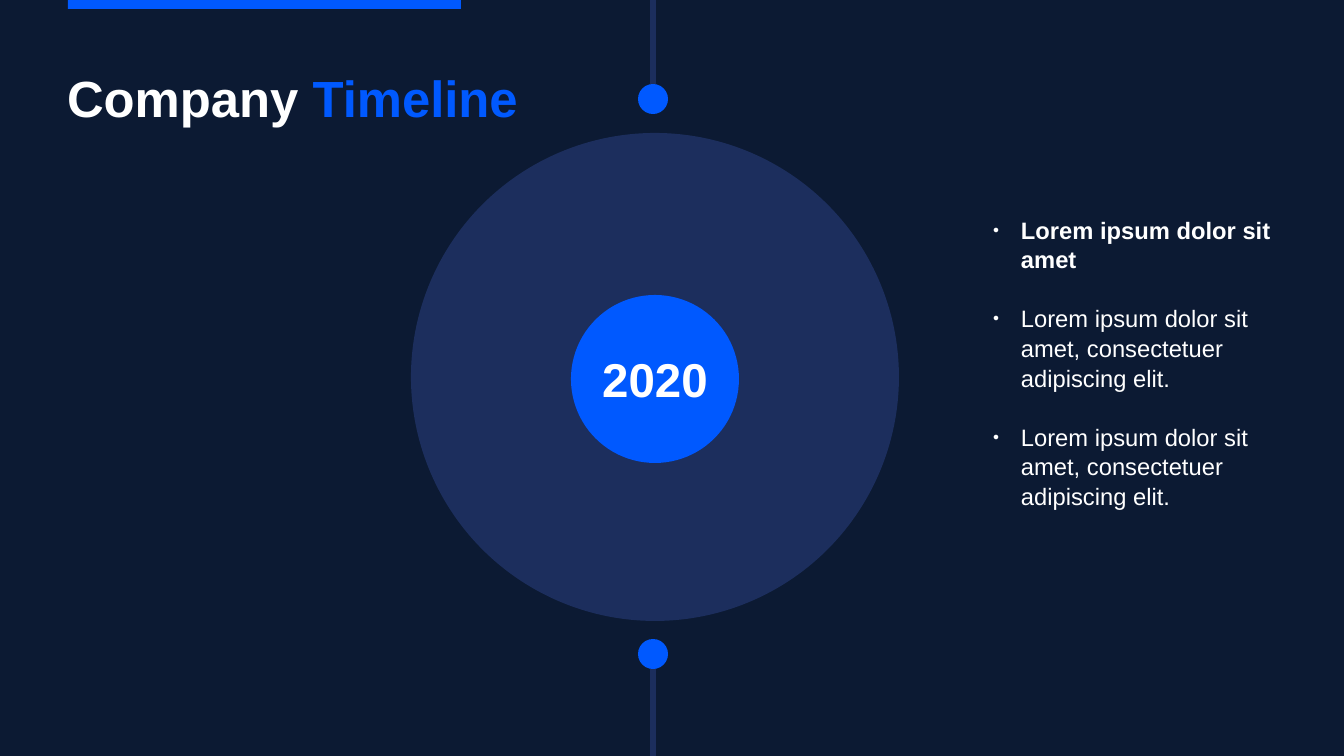
from pptx import Presentation
from pptx import util as u
from pptx.dml.color import RGBColor
from pptx.enum import shapes, text
from pptx.oxml import parse_xml
from pptx.oxml.ns import nsdecls

NAVY = RGBColor(0x0C, 0x1A, 0x33)
INDIGO = RGBColor(0x1C, 0x2E, 0x5D)
BLUE = RGBColor(0x00, 0x59, 0xFF)
WHITE = RGBColor(0xFF, 0xFF, 0xFF)
FONT = "Arial"

TITLE = [("Company ", WHITE), ("Timeline", BLUE)]
YEAR = "2020"
BULLETS = [
    ("Lorem ipsum dolor sit amet", True),
    ("Lorem ipsum dolor sit amet, consectetuer adipiscing elit.", False),
    ("Lorem ipsum dolor sit amet, consectetuer adipiscing elit.", False),
]

WIDTH, HEIGHT = 1344, 756
ACCENT_BAR = (68, 0, 393, 9)
TITLE_BOX = (67, 61, 1209, 92)
BULLET_BOX = (993, 214, 288, 366)
BULLET_INDENT = 28
DISC = (411, 133, 488, 488)
YEAR_DISC = (571, 295, 168, 168)
AXIS_X = 653
DOT = 30
STEMS = [(HEIGHT, 654), (0, 99)]


def px(value):
    return u.Emu(value * 914400 // 122)


def box(bounds):
    return [px(value) for value in bounds]


def add_filled(slide, kind, bounds, color):
    shape = slide.shapes.add_shape(kind, *box(bounds))
    shape.shadow.inherit = False
    shape.fill.solid()
    shape.fill.fore_color.rgb = color
    shape.line.fill.background()
    return shape


def add_run(paragraph, words, size, color, bold):
    run = paragraph.add_run()
    run.text = words
    run.font.name = FONT
    run.font.size = u.Pt(size)
    run.font.color.rgb = color
    run.font.bold = bold


def clear_margins(frame):
    frame.margin_left = frame.margin_top = 0
    frame.margin_right = frame.margin_bottom = 0
    frame.vertical_anchor = text.MSO_ANCHOR.TOP
    frame.auto_size = text.MSO_AUTO_SIZE.NONE
    frame.word_wrap = True


def add_bullet(paragraph):
    properties = paragraph._p.get_or_add_pPr()
    properties.set("marL", str(px(BULLET_INDENT)))
    properties.set("indent", str(-px(BULLET_INDENT)))
    for tag in (
        f'<a:buClr {nsdecls("a")}><a:srgbClr val="{WHITE}"/></a:buClr>',
        f'<a:buSzPct {nsdecls("a")} val="45000"/>',
        f'<a:buFont {nsdecls("a")} typeface="{FONT}"/>',
        f'<a:buChar {nsdecls("a")} char="●"/>',
    ):
        properties.append(parse_xml(tag))


def add_title(slide):
    title = slide.shapes.title
    title.left, title.top, title.width, title.height = box(TITLE_BOX)
    clear_margins(title.text_frame)
    paragraph = title.text_frame.paragraphs[0]
    paragraph.alignment = text.PP_ALIGN.LEFT
    paragraph.line_spacing = 1.1
    for words, color in TITLE:
        add_run(paragraph, words, 30, color, True)


def add_bullets(slide):
    frame = slide.shapes.add_textbox(*box(BULLET_BOX)).text_frame
    clear_margins(frame)
    for index, (words, bold) in enumerate(BULLETS):
        paragraph = frame.add_paragraph() if index else frame.paragraphs[0]
        add_bullet(paragraph)
        paragraph.line_spacing = 1.05
        if index:
            paragraph.space_before = u.Pt(17)
        add_run(paragraph, words, 14, WHITE, bold)


def add_stem(slide, edge_y, dot_y):
    stem = slide.shapes.add_connector(
        shapes.MSO_CONNECTOR.STRAIGHT, *box((AXIS_X, edge_y, AXIS_X, dot_y)))
    stem.line.color.rgb = INDIGO
    stem.line.width = u.Pt(3)
    stem._element.spPr.append(parse_xml(f'<a:effectLst {nsdecls("a")}/>'))
    dot_bounds = (AXIS_X - DOT // 2, dot_y - DOT // 2, DOT, DOT)
    add_filled(slide, shapes.MSO_SHAPE.OVAL, dot_bounds, BLUE)


def add_year(slide):
    add_filled(slide, shapes.MSO_SHAPE.OVAL, DISC, INDIGO)
    disc = add_filled(slide, shapes.MSO_SHAPE.OVAL, YEAR_DISC, BLUE)
    frame = disc.text_frame
    frame.word_wrap = False
    frame.vertical_anchor = text.MSO_ANCHOR.MIDDLE
    paragraph = frame.paragraphs[0]
    paragraph.alignment = text.PP_ALIGN.CENTER
    add_run(paragraph, YEAR, 28, WHITE, True)


def main():
    presentation = Presentation()
    presentation.slide_width, presentation.slide_height = px(WIDTH), px(HEIGHT)
    slide = presentation.slides.add_slide(presentation.slide_layouts[5])
    slide.background.fill.solid()
    slide.background.fill.fore_color.rgb = NAVY
    add_filled(slide, shapes.MSO_SHAPE.RECTANGLE, ACCENT_BAR, BLUE)
    add_title(slide)
    add_bullets(slide)
    add_year(slide)
    for edge_y, dot_y in STEMS:
        add_stem(slide, edge_y, dot_y)
    presentation.save("out.pptx")


if __name__ == "__main__":
    main()
